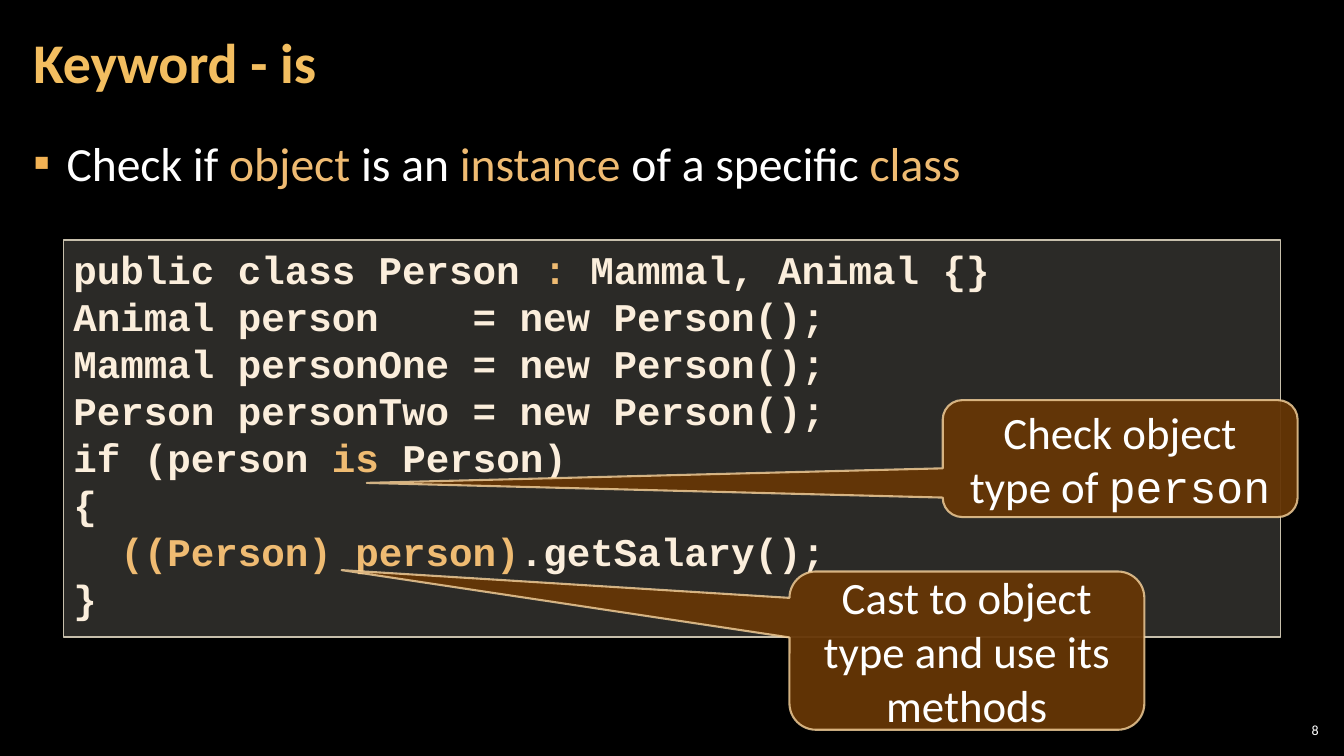
from lxml.etree import SubElement
from pptx import Presentation
from pptx.dml.color import RGBColor
from pptx.enum.shapes import MSO_SHAPE
from pptx.enum.text import MSO_ANCHOR, MSO_AUTO_SIZE, PP_ALIGN
from pptx.oxml.ns import qn
from pptx.util import Inches, Pt

# Content: a run is plain text, or a (text, style) pair
TITLE = "Keyword - is"
POINT = ["Check if ", ("object", "key"), " is an ", ("instance", "key"),
         " of а specific ", ("class", "key")]
VARS = [("Animal", "person"), ("Mammal", "personOne"), ("Person", "personTwo")]
WIDE = max(len(name) for _, name in VARS)
CODE = [
    ["public class Person ", (":", "key"), " Mammal, Animal {}"],
    *[[f"{kind} {name:<{WIDE}} = new Person();"] for kind, name in VARS],
    ["if (person ", ("is", "key"), " Person)"],
    ["{"],
    ["  ", ("((Person) person)", "key"), ".getSalary();"],
    ["}"],
]
# Callouts: box, pointer tip, text
NOTES = [
    ((7.83, 5.67, 3.52, 1.57), (-1.762, -0.509),
     ["Cast to object type and use its methods"]),
    ((9.35, 3.97, 3.52, 1.16), (-2.123, 0.208),
     ["Check object type of ", ("person", "mono")]),
]
PAGE = "8"

# Theme
THEME = {
    "back": "000000", "text": "FFFFFF", "title": "F3BE60", "key": "EFBB72",
    "dot": "F2B254", "code": "FBEEDC", "panel": "D9D5C7", "edge": "C7BFAC",
    "note": "663606", "rim": "F8D49E",
    "font": "Calibri", "mono": "Courier New",
    "size": {"title": 40, "body": 34, "note": 32, "code": 28, "page": 10},
}


def tint(name):
    return RGBColor.from_string(THEME[name])


def place(shape, box):
    for side, value in zip(("left", "top", "width", "height"), box):
        setattr(shape, side, Inches(value))


def frame(shape, anchor=MSO_ANCHOR.TOP, pad=(0.1, 0.05)):
    text = shape.text_frame
    form = {"word_wrap": True, "auto_size": MSO_AUTO_SIZE.NONE,
            "vertical_anchor": anchor,
            "margin_left": Inches(pad[0]), "margin_right": Inches(pad[0]),
            "margin_top": Inches(pad[1]), "margin_bottom": Inches(pad[1])}
    for key, value in form.items():
        setattr(text, key, value)
    return text


def write(para, runs, size, color="text", font="font", bold=False, **form):
    for key, value in form.items():
        setattr(para, key, value)
    for part in runs:
        words, style = (part, "") if isinstance(part, str) else part
        run = para.add_run()
        run.text = words
        look = {"name": THEME["mono" if style == "mono" else font],
                "size": Pt(THEME["size"][size]), "bold": bold}
        for key, value in look.items():
            setattr(run.font, key, value)
        run.font.color.rgb = tint("key" if style == "key" else color)


def fade(fill, share):
    color = fill._xPr.find(qn("a:solidFill"))[0]
    SubElement(color, qn("a:alpha"), val=str(share * 1000))


def panel(kind, box, fill, share, edge, width):
    shape = slide.shapes.add_shape(kind, *map(Inches, box))
    shape.shadow.inherit = False
    shape.fill.solid()
    shape.fill.fore_color.rgb = tint(fill)
    fade(shape.fill, share)
    shape.line.color.rgb = tint(edge)
    shape.line.width = Pt(width)
    return shape


deck = Presentation()
deck.slide_width, deck.slide_height = Inches(13.33), Inches(7.5)
slide = deck.slides.add_slide(deck.slide_layouts[1])
slide.background.fill.solid()
slide.background.fill.fore_color.rgb = tint("back")

# Title
title = slide.shapes.title
place(title, (0.21, 0.04, 10.47, 1.21))
write(frame(title, MSO_ANCHOR.MIDDLE, (0.12, 0.04)).paragraphs[0], [TITLE],
      "title", "title", bold=True, alignment=PP_ALIGN.LEFT, line_spacing=0.9)

# Bullet
body = slide.placeholders[1]
place(body, (0.21, 1.26, 12.91, 6.09))
para = frame(body, pad=(0.12, 0.04)).paragraphs[0]
write(para, POINT, "body", line_spacing=1.05,
      space_before=Pt(6), space_after=Pt(6))
props = para._p.get_or_add_pPr()
props.set("marL", str(Inches(0.33)))
props.set("indent", str(Inches(-0.33)))
SubElement(SubElement(props, qn("a:buClr")), qn("a:srgbClr"), val=THEME["dot"])
SubElement(props, qn("a:buFont"), typeface=THEME["font"])
SubElement(props, qn("a:buChar"), char="▪")

# Code panel
block = panel(MSO_SHAPE.RECTANGLE, (0.63, 2.38, 12.07, 3.94),
              "panel", 20, "edge", 1)
text = frame(block)
for row, runs in enumerate(CODE):
    para = text.add_paragraph() if row else text.paragraphs[0]
    write(para, runs, "code", "code", "mono", True,
          alignment=PP_ALIGN.LEFT, line_spacing=1.0)

# Callouts
for box, tip, runs in NOTES:
    note = panel(MSO_SHAPE.ROUNDED_RECTANGULAR_CALLOUT, box,
                 "note", 95, "rim", 1.5)
    fade(note.line.fill, 80)
    for spot, value in enumerate((*tip, 0.167)):
        note.adjustments[spot] = value
    write(frame(note, MSO_ANCHOR.MIDDLE).paragraphs[0], runs, "note",
          alignment=PP_ALIGN.CENTER)

# Page number
page = slide.shapes.add_textbox(*map(Inches, (12.65, 7.14, 0.47, 0.21)))
write(frame(page, MSO_ANCHOR.MIDDLE, (0.04, 0.04)).paragraphs[0], [PAGE],
      "page", alignment=PP_ALIGN.RIGHT)

deck.save("out.pptx")
